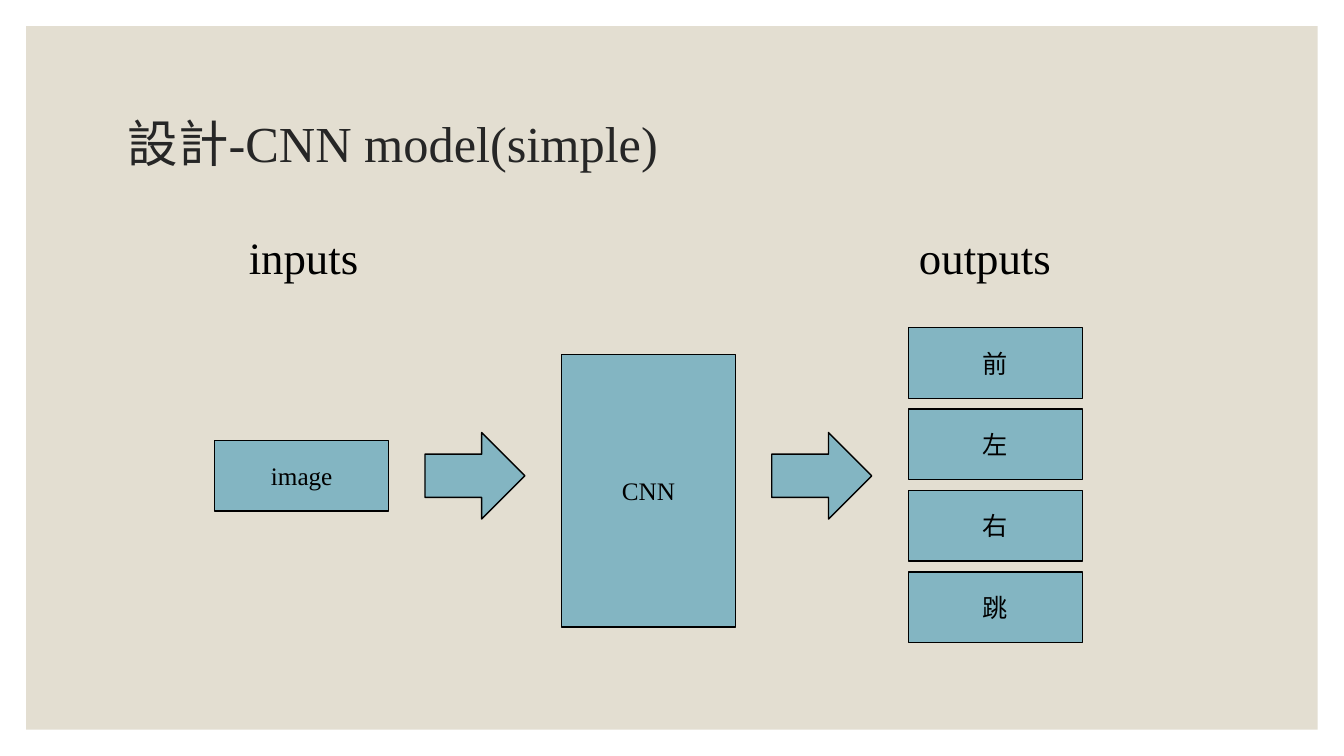
from dataclasses import dataclass

from pptx import Presentation
from pptx.dml.color import RGBColor
from pptx.enum.shapes import MSO_SHAPE as Preset
from pptx.enum.text import MSO_ANCHOR as Anchor, PP_ALIGN as Align
from pptx.util import Cm, Pt


@dataclass(frozen=True)
class Theme:
    font: str = "Times New Roman"
    panel: RGBColor = RGBColor(0xE3, 0xDE, 0xD1)
    block: RGBColor = RGBColor(0x83, 0xB5, 0xC2)
    ink: RGBColor = RGBColor(0x00, 0x00, 0x00)
    title_ink: RGBColor = RGBColor(0x26, 0x26, 0x26)
    title_size: Pt = Pt(36)
    heading_size: Pt = Pt(32)
    label_size: Pt = Pt(18)
    outline: Pt = Pt(1)


THEME = Theme()
SLIDE_WIDTH, SLIDE_HEIGHT = 33.87, 19.05
MARGIN = 0.66
COLUMN_LEFT, COLUMN_STEP = 5.41, 8.74
BLOCK_WIDTH, BLOCK_HEIGHT = 4.39, 1.78
OUTPUT_TOP, OUTPUT_STEP = 8.26, 2.05
OUTPUTS = ("前", "左", "右", "跳")


def write(frame, text, size, color, align=Align.LEFT):
    frame.text = text
    frame.vertical_anchor = Anchor.MIDDLE
    paragraph = frame.paragraphs[0]
    paragraph.alignment = align
    for run in paragraph.runs:
        run.font.name = THEME.font
        run.font.size = size
        run.font.color.rgb = color


def add_panel(slide):
    panel = slide.shapes.add_shape(
        Preset.RECTANGLE, Cm(MARGIN), Cm(MARGIN),
        Cm(SLIDE_WIDTH - 2 * MARGIN), Cm(SLIDE_HEIGHT - 2 * MARGIN))
    panel.shadow.inherit = False
    panel.fill.solid()
    panel.fill.fore_color.rgb = THEME.panel
    panel.line.fill.background()


def add_text(slide, text, left, top, width, height, size, color):
    caption = slide.shapes.add_textbox(Cm(left), Cm(top), Cm(width), Cm(height))
    caption.text_frame.word_wrap = True
    write(caption.text_frame, text, size, color)
    return caption


def add_diagram_shape(slide, preset, left, top, width, height):
    part = slide.shapes.add_shape(preset, Cm(left), Cm(top), Cm(width), Cm(height))
    part.shadow.inherit = False
    part.fill.solid()
    part.fill.fore_color.rgb = THEME.block
    part.line.color.rgb = THEME.ink
    part.line.width = THEME.outline
    return part


def add_block(slide, text, column, top, height=BLOCK_HEIGHT):
    left = COLUMN_LEFT + column * COLUMN_STEP
    block = add_diagram_shape(slide, Preset.RECTANGLE, left, top, BLOCK_WIDTH, height)
    write(block.text_frame, text, THEME.label_size, THEME.ink, Align.CENTER)


def add_flow_arrow(slide, column):
    left = 10.71 + column * COLUMN_STEP
    add_diagram_shape(slide, Preset.RIGHT_ARROW, left, 10.9, 2.52, 2.18)


def main():
    deck = Presentation()
    deck.slide_width, deck.slide_height = Cm(SLIDE_WIDTH), Cm(SLIDE_HEIGHT)
    slide = deck.slides.add_slide(deck.slide_layouts[6])

    add_panel(slide)
    title = add_text(slide, "設計-CNN model(simple)", 2.97, 1.78, 27.94, 3.81,
                     THEME.title_size, THEME.title_ink)
    title.text_frame.paragraphs[0].line_spacing = 0.9

    for heading, left in (("inputs", 6.02), ("outputs", 22.91)):
        add_text(slide, heading, left, 5.64, BLOCK_WIDTH, 1.63,
                 THEME.heading_size, THEME.ink)

    add_block(slide, "image", 0, 11.1)
    add_block(slide, "CNN", 1, 8.94, 6.86)
    for row, action in enumerate(OUTPUTS):
        add_block(slide, action, 2, OUTPUT_TOP + row * OUTPUT_STEP)
    for column in range(2):
        add_flow_arrow(slide, column)

    deck.save("out.pptx")


if __name__ == "__main__":
    main()
